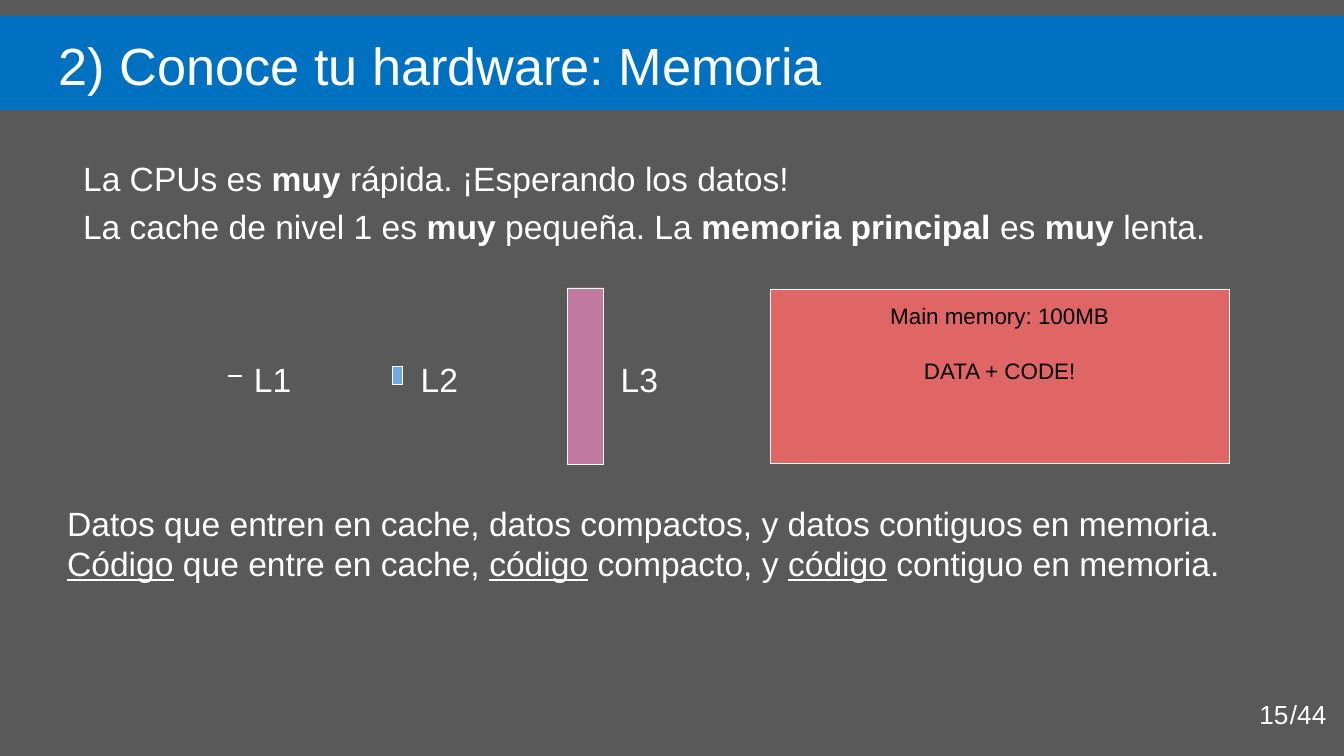
from pptx import Presentation
from pptx.dml.color import RGBColor
from pptx.enum.shapes import MSO_SHAPE as Shape
from pptx.enum.text import MSO_ANCHOR as Anchor, MSO_AUTO_SIZE as AutoSize, PP_ALIGN as Align
from pptx.oxml.ns import qn
from pptx.util import Cm, Pt
from lxml.etree import SubElement

GRAY = RGBColor(0x59, 0x59, 0x59)
BLUE = RGBColor(0x00, 0x70, 0xC0)
RED = RGBColor(0xE0, 0x66, 0x66)
MAUVE = RGBColor(0xC2, 0x7B, 0xA0)
SKY = RGBColor(0x6F, 0xA8, 0xDC)
GREEN = RGBColor(0x00, 0xFF, 0x00)
WHITE = RGBColor(0xFF, 0xFF, 0xFF)
BLACK = RGBColor(0x00, 0x00, 0x00)

PLAIN, BOLD, UNDERLINE = {}, {"bold": True}, {"underline": True}
SPACED = {"line_spacing": 1.15, "space_after": Pt(16)}

TITLE = [[("2) Conoce tu hardware: Memoria", PLAIN)]]
SPEED = [[("La CPUs es ", PLAIN), ("muy ", BOLD), ("rápida. ¡Esperando los datos!", PLAIN)]]
SIZES = [[("La cache de nivel 1 es ", PLAIN), ("muy ", BOLD), ("pequeña. La ", PLAIN),
          ("memoria principal ", BOLD), ("es ", PLAIN), ("muy ", BOLD), ("lenta.", PLAIN)]]
ADVICE = [
    [("Datos que entren en cache, datos compactos, y datos contiguos en memoria.", PLAIN)],
    [("Código", UNDERLINE), (" que entre en cache, ", PLAIN), ("código", UNDERLINE),
     (" compacto, y ", PLAIN), ("código", UNDERLINE), (" contiguo en memoria.", PLAIN)],
]
MAIN_MEMORY = [[("Main memory: 100MB", PLAIN)], [("DATA + CODE!", PLAIN)]]
PAGE_PARTS = [("15", 23.55), ("/44", 24.13)]
CACHES = [
    ("L3", MAUVE, (10.72, 5.44, 0.69, 3.33), 11.48),
    ("L2", SKY, (7.42, 6.93, 0.18, 0.33), 7.7),
    ("L1", GREEN, (4.32, 7.09, 0.25, 0.03), 4.55),
]


def place(shape, box):
    for name, value in zip(("left", "top", "width", "height"), box):
        setattr(shape, name, Cm(value))


def write(shape, paragraphs, size=18, color=WHITE, anchor=Anchor.TOP, **paragraph_format):
    frame = shape.text_frame
    frame_format = {"word_wrap": True, "auto_size": AutoSize.NONE, "vertical_anchor": anchor}
    frame_format.update({f"margin_{side}": Cm(0.25) for side in ("left", "top", "right", "bottom")})
    for name, value in frame_format.items():
        setattr(frame, name, value)
    paragraph_format = {"alignment": Align.LEFT, "space_before": Pt(0), **paragraph_format}
    for index, runs in enumerate(paragraphs):
        paragraph = frame.add_paragraph() if index else frame.paragraphs[0]
        for name, value in paragraph_format.items():
            setattr(paragraph, name, value)
        for text, style in runs:
            run = paragraph.add_run()
            run.text = text
            run.font.color.rgb = color
            for name, value in {"name": "Arial", "size": Pt(size), **style}.items():
                setattr(run.font, name, value)


def add_text(slide, box, paragraphs, **options):
    shape = slide.shapes.add_textbox(*map(Cm, box))
    write(shape, paragraphs, **options)


def add_block(slide, box, fill, outlined=True):
    shape = slide.shapes.add_shape(Shape.RECTANGLE, *map(Cm, box))
    shape.shadow.inherit = False
    shape.fill.solid()
    shape.fill.fore_color.rgb = fill
    if outlined:
        shape.line.color.rgb = WHITE
        shape.line.width = Pt(0.25)
    else:
        shape.line.fill.background()
    return shape


def remove_bullet(paragraph):
    properties = paragraph._p.get_or_add_pPr()
    properties.set("marL", "0")
    properties.set("indent", "0")
    SubElement(properties, qn("a:buNone"))


def main():
    presentation = Presentation()
    presentation.slide_width, presentation.slide_height = Cm(25.4), Cm(14.29)
    slide = presentation.slides.add_slide(presentation.slide_layouts[1])
    slide.background.fill.solid()
    slide.background.fill.fore_color.rgb = GRAY

    title, body = slide.placeholders
    band = add_block(slide, (0, 0.3, 25.4, 1.78), BLUE, outlined=False)
    title._element.addprevious(band._element)
    place(title, (0.86, 0.38, 23.67, 1.6))
    write(title, TITLE, size=28)
    place(body, (1.32, 2.62, 22.05, 1.37))
    write(body, SPEED, **SPACED)
    remove_bullet(body.text_frame.paragraphs[0])

    add_text(slide, (1.32, 3.53, 22.81, 1.47), SIZES, **SPACED)
    add_text(slide, (1.02, 9.25, 23.52, 3), ADVICE)

    memory = add_block(slide, (14.55, 5.46, 8.69, 3.3), RED)
    write(memory, MAIN_MEMORY, size=12, color=BLACK, alignment=Align.CENTER)
    memory.text_frame.paragraphs[1].space_before = Pt(15)

    for name, fill, box, label_left in CACHES:
        add_block(slide, box, fill)
        add_text(slide, (label_left, 6.43, 1.4, 1.32), [[(name, PLAIN)]], **SPACED)

    for text, left in PAGE_PARTS:
        add_text(slide, (left, 12.95, 1.52, 1.09), [[(text, PLAIN)]], size=14, anchor=Anchor.MIDDLE)

    presentation.save("out.pptx")


if __name__ == "__main__":
    main()
